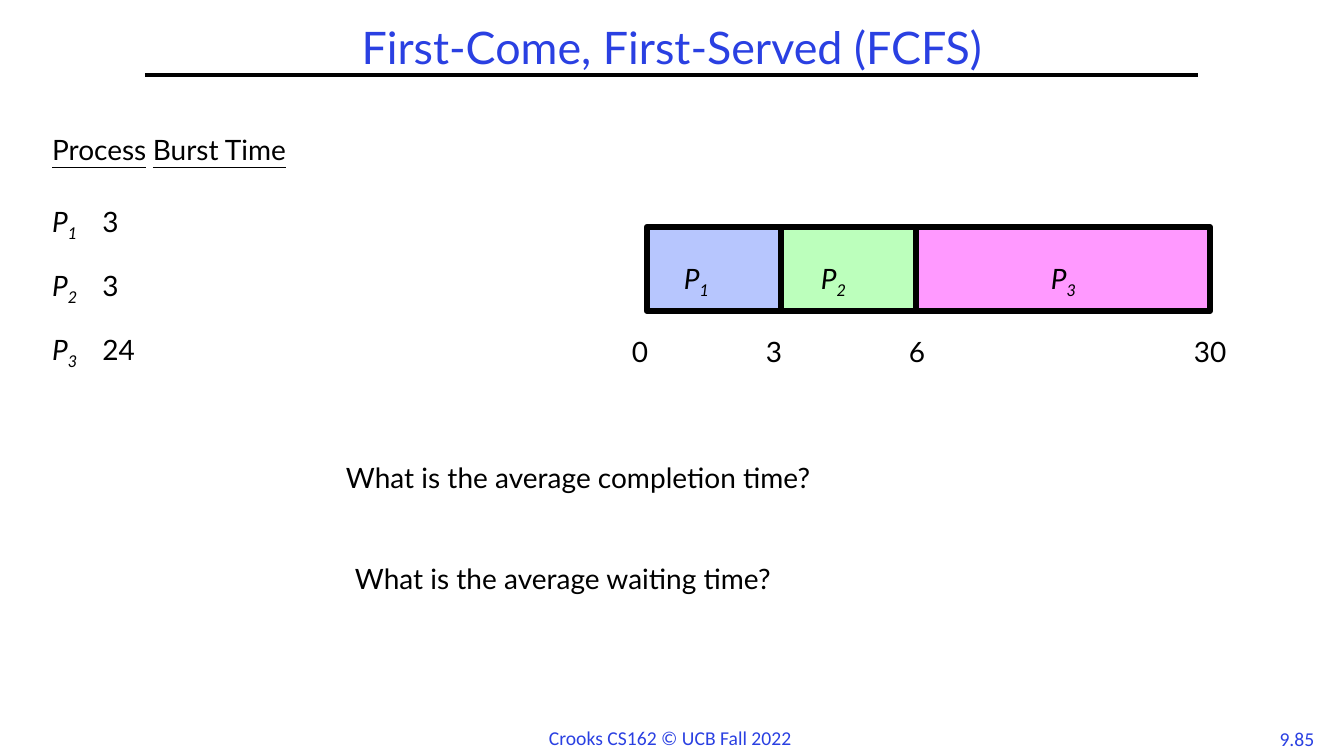
"""Builds the first-come, first-served scheduling slide."""
from pptx import Presentation
from pptx import util as u
from pptx.dml.color import RGBColor
from pptx.enum import shapes, text
from pptx.oxml.ns import qn
from lxml import etree

BLUE, BLACK = "2A40E2", "000000"
TITLE = "First-Come, First-Served (FCFS)"
HEADS = ("Process", "Burst Time")
# number, burst, tab, space before in points
ROWS = [("1", "3", 101, 30), ("2", "3", 101, 24), ("3", "24", 105, 24)]
# number, left, right, name left, fill
BARS = [("1", 647, 781, 674, "B7C6FE"),
        ("2", 781, 916, 811, "BCFFBC"),
        ("3", 916, 1210, 1041, "FF99FF")]
TIMES = [("0", 622), ("3", 756), ("6", 899), ("30", 1184)]
ASKS = [("What is the average completion time?", 336, 462),
        ("What is the average waiting time?", 345, 563)]
FOOTS = [("Crooks CS162 © UCB Fall 2022", 539, 721, 265, "LEFT"),
         ("9.85", 1268, 722, 58, "CENTER")]


def px(n):
    return u.Emu(round(n * 914400 / 100.8))


def rgb(code):
    return RGBColor.from_string(code)


def style(para, size=20, name="Lato", color=BLACK, space=0.8):
    font = para.font
    font.size, font.name = u.Pt(size), name
    font.color.rgb = rgb(color)
    para.line_spacing = space


def place(shape, x, y, w, h):
    shape.left, shape.top, shape.width, shape.height = map(px, (x, y, w, h))


def add(para, words, **looks):
    run = para.add_run()
    run.text = words
    for key, value in looks.items():
        setattr(run.font, key, value)
    return run


def proc(para, num):
    add(para, "P", italic=True)
    sub = add(para, num, italic=True)
    sub.font._element.set("baseline", "-25000")


def tab(para, stop):
    props = para._p.get_or_add_pPr()
    props.set("marL", "0")
    props.set("indent", "0")
    etree.SubElement(props, qn("a:buNone"))
    tabs = etree.SubElement(props, qn("a:tabLst"))
    etree.SubElement(tabs, qn("a:tab"), pos=str(px(stop)), algn="l")


def box(slide, x, y, w, h=34):
    frame = slide.shapes.add_textbox(*map(px, (x, y, w, h))).text_frame
    frame.word_wrap = True
    return frame.paragraphs[0]


def heading(slide):
    title = slide.shapes.title
    place(title, 0, 25, 1344, 50)
    frame = title.text_frame
    frame.text = TITLE
    frame.auto_size = text.MSO_AUTO_SIZE.NONE
    frame.vertical_anchor = text.MSO_ANCHOR.MIDDLE
    para = frame.paragraphs[0]
    para.alignment = text.PP_ALIGN.CENTER
    style(para, 32, color=BLUE, space=0.9)
    ends = map(px, (145, 75, 1198, 75))
    rule = slide.shapes.add_connector(shapes.MSO_CONNECTOR.STRAIGHT, *ends)
    rule.line.color.rgb = rgb(BLACK)
    rule.line.width = u.Pt(3)
    etree.SubElement(rule._element.spPr, qn("a:effectLst"))


def bursts(slide):
    body = slide.placeholders[1]
    place(body, 42, 134, 508, 285)
    frame = body.text_frame
    frame.auto_size = text.MSO_AUTO_SIZE.NONE
    frame.vertical_anchor = text.MSO_ANCHOR.TOP
    para = frame.paragraphs[0]
    tab(para, 101)
    style(para)
    para.space_before = u.Pt(0)
    add(para, HEADS[0], underline=True)
    add(para, "\t")
    add(para, HEADS[1], underline=True)
    for num, burst, stop, gap in ROWS:
        para = frame.add_paragraph()
        tab(para, stop)
        style(para)
        para.space_before = u.Pt(gap)
        proc(para, num)
        add(para, "\t" + burst)


def chart(slide):
    for num, left, right, name, fill in BARS:
        bar = slide.shapes.add_shape(
            shapes.MSO_SHAPE.RECTANGLE,
            *map(px, (left, 227, right - left, 84)))
        bar.shadow.inherit = False
        bar.fill.solid()
        bar.fill.fore_color.rgb = rgb(fill)
        bar.line.color.rgb = rgb(BLACK)
        bar.line.width = u.Pt(4.5)
        para = box(slide, name, 260, 58)
        style(para)
        proc(para, num)
    for time, left in TIMES:
        para = box(slide, left, 336, 101)
        style(para)
        add(para, time)


def main():
    deck = Presentation()
    deck.slide_width, deck.slide_height = px(1344), px(756)
    slide = deck.slides.add_slide(deck.slide_layouts[1])
    heading(slide)
    bursts(slide)
    chart(slide)
    for words, x, y in ASKS:
        para = box(slide, x, y, 739)
        style(para)
        add(para, words)
    for words, x, y, w, align in FOOTS:
        para = box(slide, x, y, w)
        para.alignment = text.PP_ALIGN[align]
        style(para, 14, "Calibri", BLUE, 1.0)
        add(para, words)
    deck.save("out.pptx")


if __name__ == "__main__":
    main()
